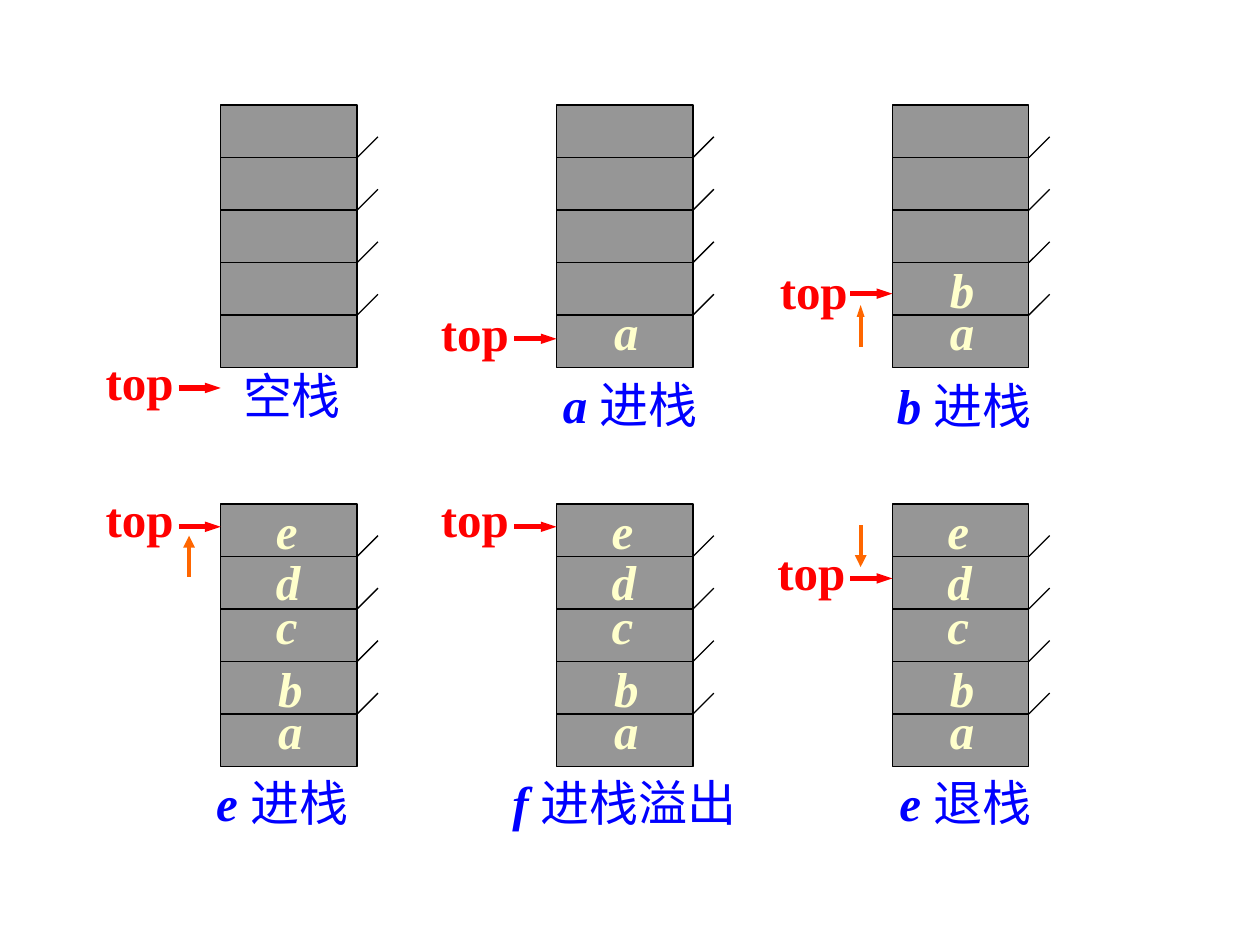
from dataclasses import dataclass
from lxml.etree import SubElement
from pptx import Presentation
from pptx.dml.color import RGBColor
from pptx.enum.shapes import MSO_CONNECTOR, MSO_SHAPE
from pptx.enum.text import MSO_AUTO_SIZE
from pptx.oxml.ns import qn
from pptx.util import Cm, Pt


@dataclass(frozen=True)
class Theme:
    font: str = "Times New Roman"
    size: float = 28
    cell: str = "969696"
    line: str = "000000"
    pointer: str = "FF0000"
    move: str = "FF6600"
    caption: str = "0000FF"
    element: str = "FFFFCC"
    thin: float = 0.75
    medium: float = 2.25
    thick: float = 3


theme = Theme()
prs = Presentation()
prs.slide_width, prs.slide_height = Cm(25.4), Cm(19.05)
s = prs.slides.add_slide(prs.slide_layouts[6])


def add_text(text, *, x, y, w, color, lead="", bold=False, italic=False):
    tf = s.shapes.add_textbox(Cm(x), Cm(y), Cm(w), Cm(1.45)).text_frame
    tf.word_wrap = False
    tf.auto_size = MSO_AUTO_SIZE.SHAPE_TO_FIT_TEXT
    p = tf.paragraphs[0]
    for part, b, i in ((lead, True, True), (text, bold, italic)):
        if part:
            r = p.add_run()
            r.text = part
            r.font.name, r.font.size = theme.font, Pt(theme.size)
            r.font.bold, r.font.italic = b, i
            r.font.color.rgb = RGBColor.from_string(color)


def add_line(x1, y1, x2, y2, *, color=theme.line, width=theme.thin, head=None):
    sp = s.shapes.add_connector(MSO_CONNECTOR.STRAIGHT, Cm(x1), Cm(y1), Cm(x2), Cm(y2))
    sp.line.color.rgb = RGBColor.from_string(color)
    sp.line.width = Pt(width)
    if head:
        SubElement(sp.line._get_or_add_ln(), qn("a:tailEnd"), type="triangle", w=head, len="med")
    SubElement(sp._element.spPr, qn("a:effectLst"))


STACK_W, STACK_H, CELLS, TICK = 2.75, 5.29, 5, 0.42
CELL_H = STACK_H / CELLS
LEFT, PITCH = 4.45, 6.77
ROW_TOPS = (2.12, 10.16)

element_boxes = {
    "a": (0.91, 3.83, 0.99),
    "b": (0.91, 2.99, 0.99),
    "c": (0.86, 1.73, 0.94),
    "d": (0.86, 0.84, 0.99),
    "e": (0.86, -0.2, 0.94),
}

# elements, caption lead, caption, caption box, label position, pointer y
states = [
    ("", "", "空栈", (4.65, 7.24, 2.5), (1.88, 6.96), 7.82),
    ("a", "a ", "进栈", (11.1, 7.42, 3.45), (8.64, 5.97), 6.83),
    ("ab", "b ", "进栈", (17.83, 7.44, 3.45), (15.47, 5.13), 5.92),
    ("abcde", "e ", "进栈", (4.11, 15.44, 3.4), (1.88, 9.73), 10.62),
    ("abcde", "f ", "进栈溢出", (10.08, 15.44, 5.26), (8.64, 9.73), 10.62),
    ("abcde", "e ", "退栈", (17.88, 15.44, 3.4), (15.42, 10.8), 11.66),
]

for n, (elements, lead, caption, caption_box, label_at, pointer_y) in enumerate(states):
    row, col = divmod(n, 3)
    x, y = LEFT + col * PITCH, ROW_TOPS[row]
    right = x + STACK_W

    sp = s.shapes.add_shape(MSO_SHAPE.RECTANGLE, Cm(x), Cm(y), Cm(STACK_W), Cm(STACK_H))
    sp.shadow.inherit = False
    sp.fill.solid()
    sp.fill.fore_color.rgb = RGBColor.from_string(theme.cell)
    sp.line.color.rgb = RGBColor.from_string(theme.line)
    sp.line.width = Pt(theme.thin)

    for k in range(1, CELLS):
        edge = y + k * CELL_H
        add_line(x, edge, right, edge)
        add_line(right, edge, right + TICK, edge - TICK)

    for element in elements:
        dx, dy, w = element_boxes[element]
        add_text(element, x=x + dx, y=y + dy, w=w, color=theme.element, bold=True, italic=True)

    cx, cy, cw = caption_box
    add_text(caption, x=cx, y=cy, w=cw, color=theme.caption, lead=lead)
    add_text("top", x=label_at[0], y=label_at[1], w=1.88, color=theme.pointer, bold=True)
    add_line(x - 0.85, pointer_y, x, pointer_y, color=theme.pointer, width=theme.thick, head="sm")

for col, start, end, head in ((2, 6.99, 6.15, "sm"), (0, 11.63, 10.8, "med"), (2, 10.59, 11.43, "med")):
    x = LEFT + col * PITCH - 0.64
    add_line(x, start, x, end, color=theme.move, width=theme.medium, head=head)

prs.save("out.pptx")
